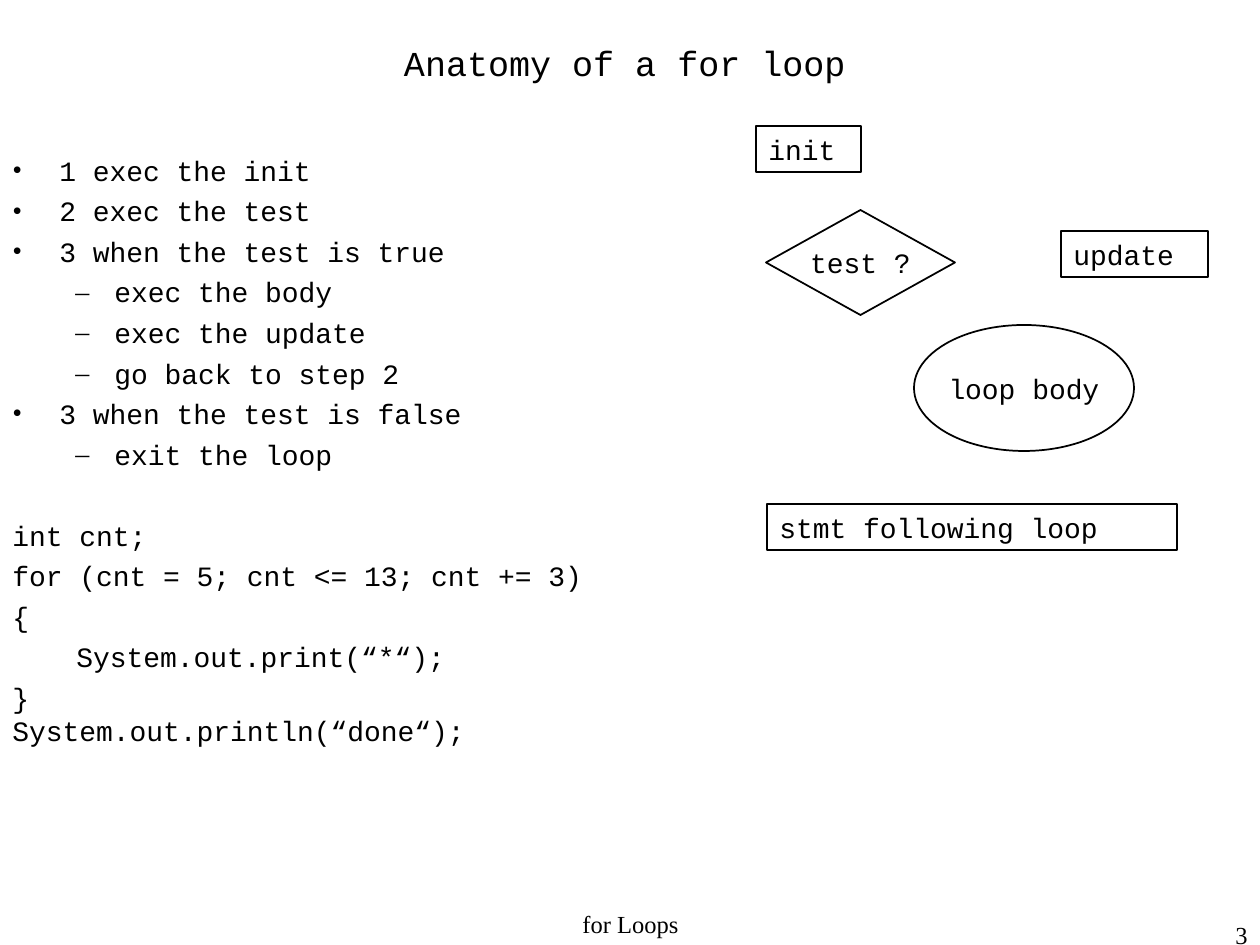
from lxml import etree
from pptx import Presentation
from pptx.dml.color import RGBColor
from pptx.enum.shapes import MSO_SHAPE
from pptx.enum.text import MSO_ANCHOR, PP_ALIGN
from pptx.oxml.ns import qn
from pptx.util import Emu, Pt

LEFT, CENTER, RIGHT = PP_ALIGN.LEFT, PP_ALIGN.CENTER, PP_ALIGN.RIGHT
TOP, MIDDLE = MSO_ANCHOR.TOP, MSO_ANCHOR.MIDDLE
RECT, DIAMOND, OVAL = MSO_SHAPE.RECTANGLE, MSO_SHAPE.DIAMOND, MSO_SHAPE.OVAL

PX_PER_INCH = 126
BLACK = "000000"
MONO, SERIF = "Courier New", "Times New Roman"
TITLE_FONT = {"name": MONO, "size": Pt(20)}
BODY_FONT = {"name": MONO, "size": Pt(16)}
FOOTER_FONT = {"name": SERIF, "size": Pt(14)}

# bullet, left margin and hanging indent in px for each list level
LEVELS = [("•", 47, -47), ("–", 102, -39)]
STEPS = [
    (0, "1 exec the init"),
    (0, "2 exec the test"),
    (0, "3 when the test is true"),
    (1, "exec the body"),
    (1, "exec the update"),
    (1, "go back to step 2"),
    (0, "3 when the test is false"),
    (1, "exit the loop"),
]
# code line, left margin in px, space before in points
CODE = [
    ("int cnt;", 0, 27),
    ("for (cnt = 5; cnt <= 13; cnt += 3)", 0, 4),
    ("{", 0, 4),
    ("System.out.print(“*“);", 64, 4),
    ("}", 0, 4),
    ("System.out.println(“done“);", 0, 0),
]
# shape, text, left, top, width, height relative to the flowchart
FLOWCHART = [
    (DIAMOND, "test ?", 10, 84, 189, 105),
    (OVAL, "loop body", 158, 199, 220, 126),
    (RECT, "stmt following loop", 11, 378, 410, 46),
    (RECT, "init", 0, 0, 105, 46),
    (RECT, "update", 305, 105, 147, 46),
]


def px(n):
    return Emu(round(n * 914400 / PX_PER_INCH))


def rgb(value):
    return RGBColor.from_string(value)


def write(p, text, font, align=LEFT):
    p.alignment = align
    r = p.add_run()
    r.text = text
    for key, value in font.items():
        setattr(r.font, key, value)
    r.font.color.rgb = rgb(BLACK)


def indent(p, margin, first=0, bullet=None):
    pPr = p._p.get_or_add_pPr()
    pPr.set("marL", str(px(margin)))
    pPr.set("indent", str(px(first)))
    if bullet:
        color = etree.SubElement(pPr, qn("a:buClr"))
        etree.SubElement(color, qn("a:srgbClr"), val=BLACK)
        etree.SubElement(pPr, qn("a:buFont"), typeface=SERIF)
        etree.SubElement(pPr, qn("a:buChar"), char=bullet)
    else:
        etree.SubElement(pPr, qn("a:buNone"))


def add_text_box(s, x, y, w, h):
    tf = s.shapes.add_textbox(px(x), px(y), px(w), px(h)).text_frame
    tf.word_wrap = True
    return tf


def add_title(s, x, y, w, h):
    sp = s.shapes.title
    sp.left, sp.top, sp.width, sp.height = px(x), px(y), px(w), px(h)
    sp.text_frame.vertical_anchor = MIDDLE
    write(sp.text_frame.paragraphs[0], "Anatomy of a for loop", TITLE_FONT, CENTER)


def add_body(s, x, y, w, h):
    """Place the numbered steps with the code example below them."""
    tf = add_text_box(s, x, y, w, h)
    for i, (level, text) in enumerate(STEPS):
        p = tf.add_paragraph() if i else tf.paragraphs[0]
        p.level = level
        if i:
            p.space_before = Pt(4)
        bullet, margin, first = LEVELS[level]
        indent(p, margin, first, bullet)
        write(p, text, BODY_FONT)
    for text, margin, before in CODE:
        p = tf.add_paragraph()
        p.space_before = Pt(before)
        indent(p, margin)
        write(p, text, BODY_FONT)


def add_flowchart(s, x, y):
    for kind, text, dx, dy, w, h in FLOWCHART:
        sp = s.shapes.add_shape(kind, px(x + dx), px(y + dy), px(w), px(h))
        sp.shadow.inherit = False
        sp.fill.background()
        sp.line.color.rgb = rgb(BLACK)
        sp.line.width = Pt(1)
        tf = sp.text_frame
        boxed = kind == RECT
        tf.word_wrap = boxed
        tf.vertical_anchor = TOP if boxed else MIDDLE
        write(tf.paragraphs[0], text, BODY_FONT, LEFT if boxed else CENTER)


def add_footer(s, text, align, x, y, w, h):
    tf = add_text_box(s, x, y, w, h)
    write(tf.paragraphs[0], text, FOOTER_FONT, align)


def main():
    prs = Presentation()
    prs.slide_width, prs.slide_height = px(1260), px(945)
    s = prs.slides.add_slide(prs.slide_layouts[5])
    add_title(s, 0, 10, 1250, 105)
    add_body(s, 0, 147, 703, 735)
    add_flowchart(s, 756, 126)
    add_footer(s, "for Loops", CENTER, 431, 903, 399, 42)
    add_footer(s, "3", RIGHT, 998, 914, 262, 31)
    prs.save("out.pptx")


if __name__ == "__main__":
    main()
